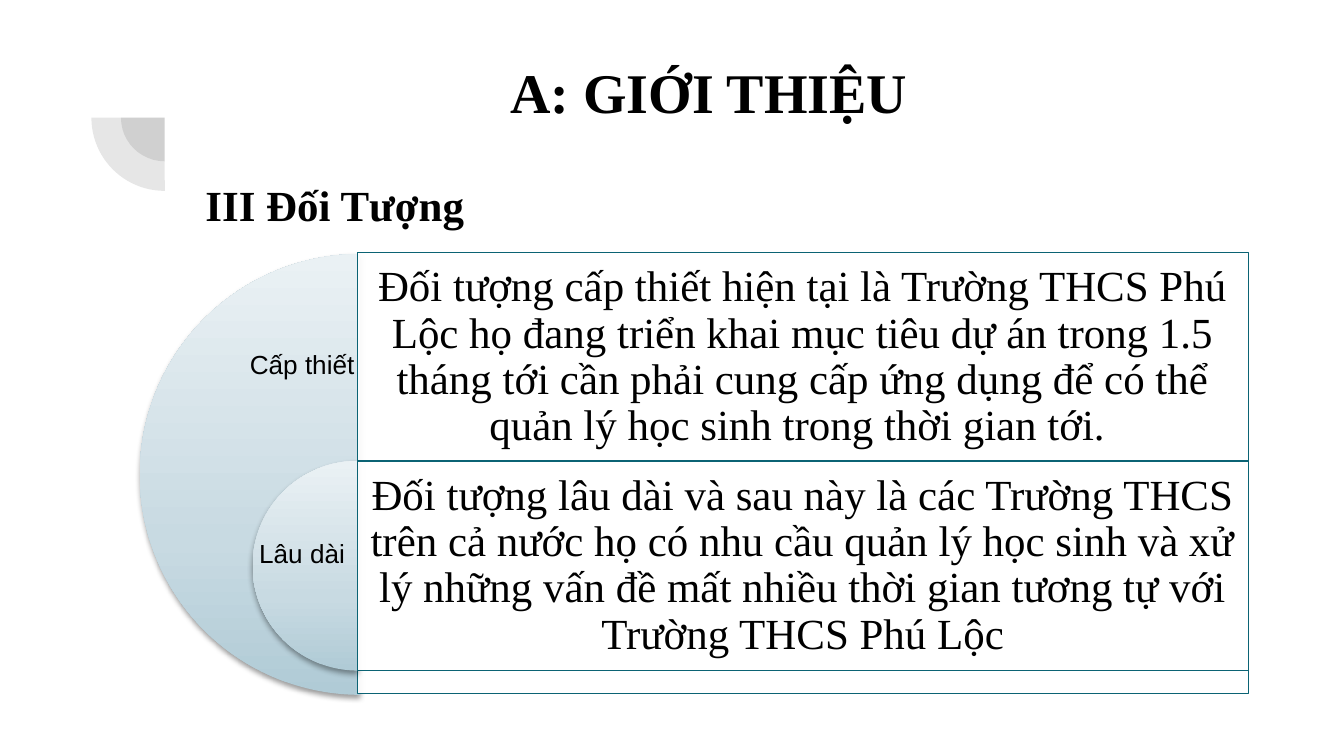
from pptx import Presentation
from pptx.dml.color import RGBColor
from pptx.enum.shapes import MSO_SHAPE
from pptx.enum.text import MSO_ANCHOR, MSO_AUTO_SIZE, PP_ALIGN
from pptx.oxml import parse_xml
from pptx.oxml.ns import qn
from pptx.util import Pt

PX = 9144  # 100 px to the inch
SLIDE_WIDTH = 1000 * PX
PIE, RECT = MSO_SHAPE.PIE, MSO_SHAPE.RECTANGLE
TOP, MIDDLE = MSO_ANCHOR.TOP, MSO_ANCHOR.MIDDLE
LEFT, CENTER = PP_ALIGN.LEFT, PP_ALIGN.CENTER
NO_FIT = MSO_AUTO_SIZE.NONE
SERIF, SANS = "Times New Roman", "Arial"
XMLNS = 'xmlns:a="http://schemas.openxmlformats.org/drawingml/2006/main"'
GRADIENT = [(0, "B0CBD6"), (35, "C8DAE2"), (100, "EAF1F4")]
HALF_PIE, QUARTER_PIE = (54, 162), (107.93, 162)

GOALS = [
    ("Đối tượng cấp thiết hiện tại là Trường THCS Phú Lộc họ đang triển khai "
     "mục tiêu dự án trong 1.5 tháng tới cần phải cung cấp ứng dụng để có thể "
     "quản lý học sinh trong thời gian tới. "),
    ("Đối tượng lâu dài và sau này là các Trường THCS trên cả nước họ có nhu cầu "
     "quản lý học sinh và xử lý những vấn đề mất nhiều thời gian tương tự với "
     "Trường THCS Phú Lộc"),
]


def color(value):
    return RGBColor.from_string(value)


def emu(*lengths):
    return [length * PX for length in lengths]


def add_plain(slide, kind, box):
    shape = slide.shapes.add_shape(kind, *emu(*box))
    shape.shadow.inherit = False
    return shape


def fill_solid(shape, value, opacity):
    shape.fill.solid()
    shape.fill.fore_color.rgb = color(value)
    srgb = shape._element.spPr.find(".//" + qn("a:srgbClr"))
    srgb.append(parse_xml(f'<a:alpha {XMLNS} val="{opacity * 1000}"/>'))


def write(shape, text, size, font=SERIF, bold=False, align=LEFT, spacing=1.0,
          anchor=TOP, margins=(10, 10), wrap=True):
    frame = shape.text_frame
    frame.word_wrap = wrap
    frame.auto_size = NO_FIT
    frame.vertical_anchor = anchor
    frame.margin_left = frame.margin_right = margins[0] * PX
    frame.margin_top = frame.margin_bottom = margins[1] * PX
    frame.text = text
    paragraph = frame.paragraphs[0]
    paragraph.alignment = align
    paragraph.line_spacing = spacing
    paragraph.font.name = font
    paragraph.font.size = Pt(size)
    paragraph.font.bold = bold
    paragraph.font.color.rgb = color("000000")
    return paragraph


def add_text(slide, box, text, size, **style):
    return write(slide.shapes.add_textbox(*emu(*box)), text, size, **style)


def add_corner(slide, left, top, size):
    """Two quarter discs sharing one centre."""
    inner = size * 6 // 10
    inset = (size - inner) // 2
    for offset, diameter in ((inset, inner), (0, size)):
        quarter = add_plain(slide, PIE, (left + offset, top + offset, diameter, diameter))
        quarter.rotation = 270
        quarter.adjustments[0], quarter.adjustments[1] = QUARTER_PIE
        fill_solid(quarter, "424242", 13)
        quarter.line.fill.background()


def add_half_disc(slide, left, top, size):
    disc = slide.shapes.add_shape(PIE, *emu(left, top, size, size))
    disc.adjustments[0], disc.adjustments[1] = HALF_PIE
    properties = disc._element.spPr
    stops = "".join(f'<a:gs pos="{position * 1000}"><a:srgbClr val="{value}"/></a:gs>'
                    for position, value in GRADIENT)
    properties.append(parse_xml(
        f'<a:gradFill {XMLNS} rotWithShape="1"><a:gsLst>{stops}</a:gsLst>'
        '<a:lin ang="16200000" scaled="0"/></a:gradFill>'))
    disc.line.fill.background()
    properties.append(parse_xml(
        f'<a:effectLst {XMLNS}><a:outerShdw blurRad="{Pt(3.1)}" dist="{Pt(1.6)}" '
        'dir="5400000" rotWithShape="0"><a:srgbClr val="000000">'
        '<a:alpha val="38000"/></a:srgbClr></a:outerShdw></a:effectLst>'))


def add_goals(slide, left, top, width, height):
    """Nested half discs, each with a panel running down to its lower edge."""
    row = 156
    panel_left = left + 162
    panel_width = width - 162
    discs = ((left, top + 1, height), (panel_left - row // 2, top + row - 1, row))
    for index, (goal, (disc_left, disc_top, size)) in enumerate(zip(GOALS, discs)):
        y = top + index * (row - 1)
        add_half_disc(slide, disc_left, disc_top, size)
        panel = add_plain(slide, RECT, (panel_left, y, panel_width, size))
        fill_solid(panel, "FFFFFF", 90)
        panel.line.color.rgb = color("0B6374")
        panel.line.width = Pt(0.75)
        add_text(slide, (panel_left, y, panel_width, row), goal, 23,
                 align=CENTER, spacing=0.9, anchor=MIDDLE, margins=(9, 9))


def add_headings(slide, left, top, width):
    subtitle = add_text(slide, (left, top + 92, 221, 66), "III Đối Tượng", 23,
                        bold=True, spacing=1.15)
    subtitle.space_after = Pt(16)
    title = slide.shapes.title
    title.left, title.top, title.width, title.height = emu(left, top, width, 51)
    paragraph = write(title, "A: GIỚI THIỆU", 30, bold=True, align=CENTER, spacing=1.15)
    paragraph.space_before, paragraph.space_after = Pt(24), Pt(6)


def add_labels(slide, left, top):
    style = {"font": SANS, "margins": (10, 5)}
    add_text(slide, (left, top, 99, 34), "Cấp thiết", 14, wrap=False, **style)
    add_text(slide, (left + 7, top + 141, 85, 34), "Lâu dài", 14, **style)


def main():
    deck = Presentation()
    deck.slide_width, deck.slide_height = SLIDE_WIDTH, SLIDE_WIDTH * 9 // 16
    slide = deck.slides.add_slide(deck.slide_layouts[5])
    add_corner(slide, 68, 33, 109)
    add_goals(slide, 104, 188, 825, 328)
    add_headings(slide, 143, 25, 769)
    add_labels(slide, 176, 254)
    deck.save("out.pptx")


if __name__ == "__main__":
    main()
